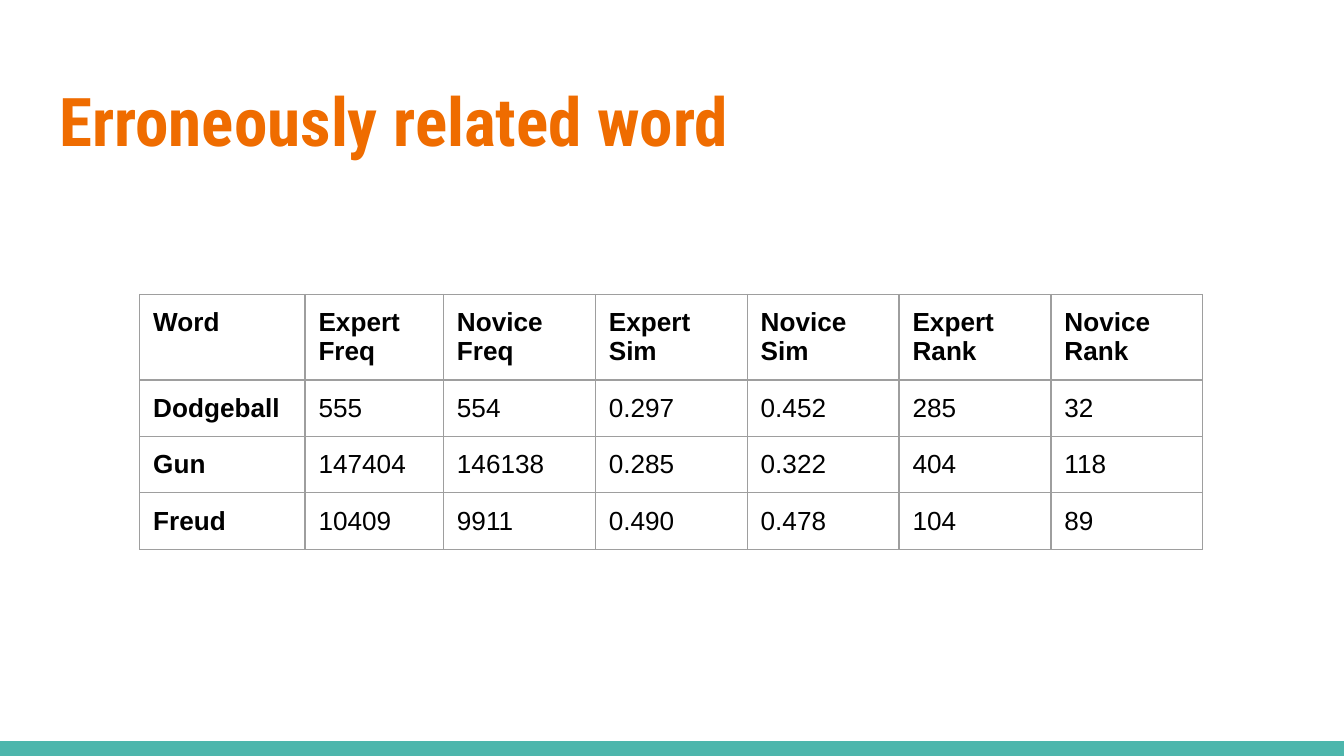
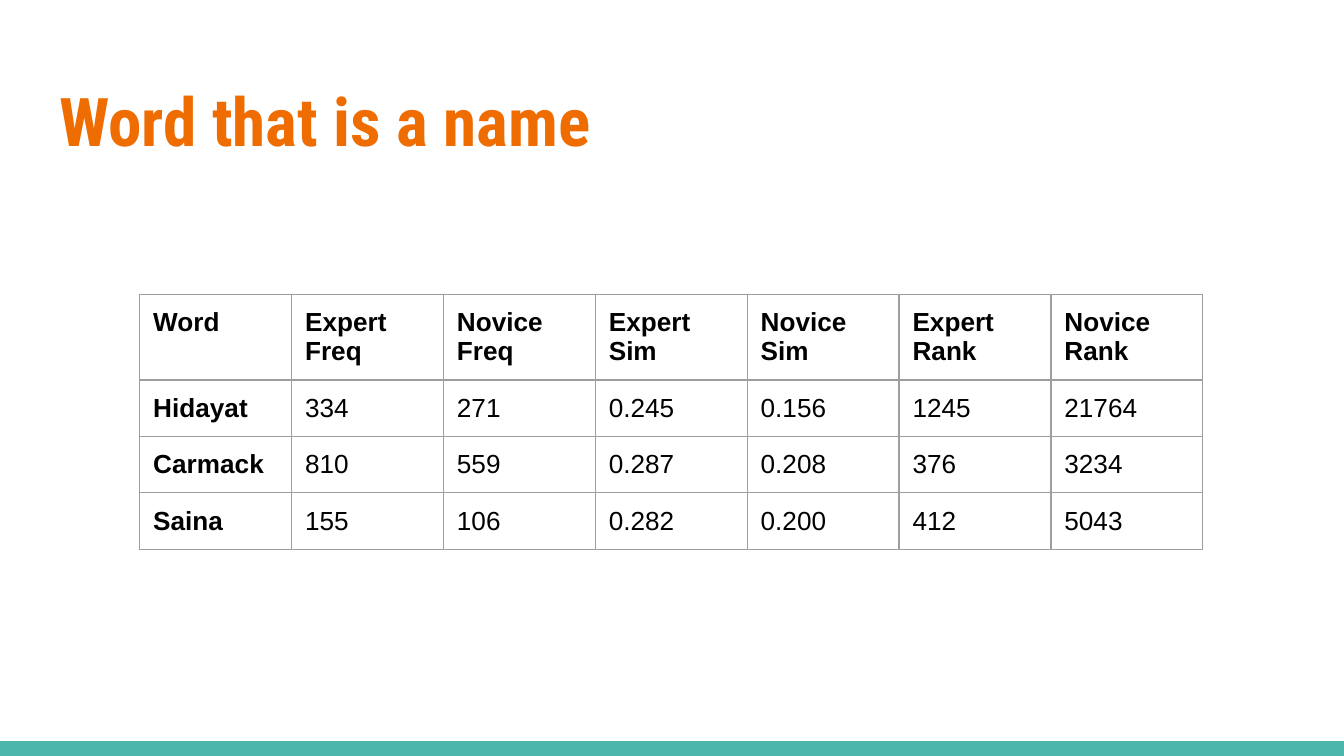
from pptx import Presentation
from pptx.dml.color import RGBColor
from pptx.enum.shapes import MSO_SHAPE
from pptx.enum.text import MSO_ANCHOR, PP_ALIGN
from pptx.oxml.ns import qn
from pptx.util import Inches, Pt
from lxml.etree import SubElement

# Shared look
ORANGE = RGBColor(0xEF, 0x6C, 0x00)
TEAL = RGBColor(0x4D, 0xB6, 0xAC)
GRAY = RGBColor(0x9E, 0x9E, 0x9E)
BLACK = RGBColor(0x00, 0x00, 0x00)
WIDE = Inches(10)
HIGH = WIDE * 9 // 16
PAD = Inches(0.1)
COL = 1.13

# Content
HEAD = ["Word", "Expert Freq", "Novice Freq", "Expert Sim", "Novice Sim",
        "Expert Rank", "Novice Rank"]
ERRORS = [
    ["Dodgeball", "555", "554", "0.297", "0.452", "285", "32"],
    ["Gun", "147404", "146138", "0.285", "0.322", "404", "118"],
    ["Freud", "10409", "9911", "0.490", "0.478", "104", "89"],
]
NAMES = [
    ["Hidayat", "334", "271", "0.245", "0.156", "1245", "21764"],
    ["Carmack", "810", "559", "0.287", "0.208", "376", "3234"],
    ["Saina", "155", "106", "0.282", "0.200", "412", "5043"],
]


def set_font(para, name, size, color, bold):
    for run in para.runs:
        font = run.font
        font.name, font.size, font.bold = name, Pt(size), bold
        font.color.rgb = color


def set_pad(item):
    item.margin_left = item.margin_right = PAD
    item.margin_top = item.margin_bottom = PAD


def add_band(slide):
    tall = Inches(0.11)
    band = slide.shapes.add_shape(MSO_SHAPE.RECTANGLE, 0, HIGH - tall,
                                  WIDE, tall)
    band.shadow.inherit = False
    band.fill.solid()
    band.fill.fore_color.rgb = TEAL
    band.line.fill.background()


def set_title(slide, text):
    title = slide.shapes.title
    title.left, title.top = Inches(0.34), Inches(0.49)
    title.width, title.height = Inches(9.32), Inches(0.77)
    frame = title.text_frame
    frame.text = text
    frame.word_wrap = True
    frame.vertical_anchor = MSO_ANCHOR.TOP
    set_pad(frame)
    para = frame.paragraphs[0]
    para.alignment = PP_ALIGN.LEFT
    set_font(para, "Roboto Condensed", 36, ORANGE, True)


def set_border(cell):
    props = cell._tc.get_or_add_tcPr()
    for place, side in enumerate(("a:lnL", "a:lnR", "a:lnT", "a:lnB")):
        line = SubElement(props, qn(side), w=str(Pt(0.75)))
        fill = SubElement(line, qn("a:solidFill"))
        SubElement(fill, qn("a:srgbClr"), val=str(GRAY))
        props.insert(place, line)  # borders come before the fill


def add_grid(slide, rows, shift=0):
    """Add a word table; shift widens the first column at the second's cost."""
    rows = [HEAD] + rows
    widths = [COL + shift, COL - shift] + [COL] * (len(HEAD) - 2)
    frame = slide.shapes.add_table(len(rows), len(HEAD), Inches(1.04),
                                   Inches(2.19), Inches(sum(widths)),
                                   Inches(0.42 * len(rows)))
    table = frame.table
    table.first_row = table.horz_banding = False
    for col, width in zip(table.columns, widths):
        col.width = Inches(width)
    for r, row in enumerate(rows):
        for c, text in enumerate(row):
            cell = table.cell(r, c)
            cell.text_frame.text = text
            set_pad(cell)
            cell.fill.background()
            set_border(cell)
            set_font(cell.text_frame.paragraphs[0], "Arial", 14, BLACK,
                     r == 0 or c == 0)


def add_page(deck, title, rows, shift=0):
    slide = deck.slides.add_slide(deck.slide_layouts[5])
    add_band(slide)
    set_title(slide, title)
    add_grid(slide, rows, shift)


def main():
    deck = Presentation()
    deck.slide_width, deck.slide_height = WIDE, HIGH
    add_page(deck, "Erroneously related word", ERRORS, 0.1)
    add_page(deck, "Word that is a name", NAMES)
    deck.save("out.pptx")


if __name__ == "__main__":
    main()
